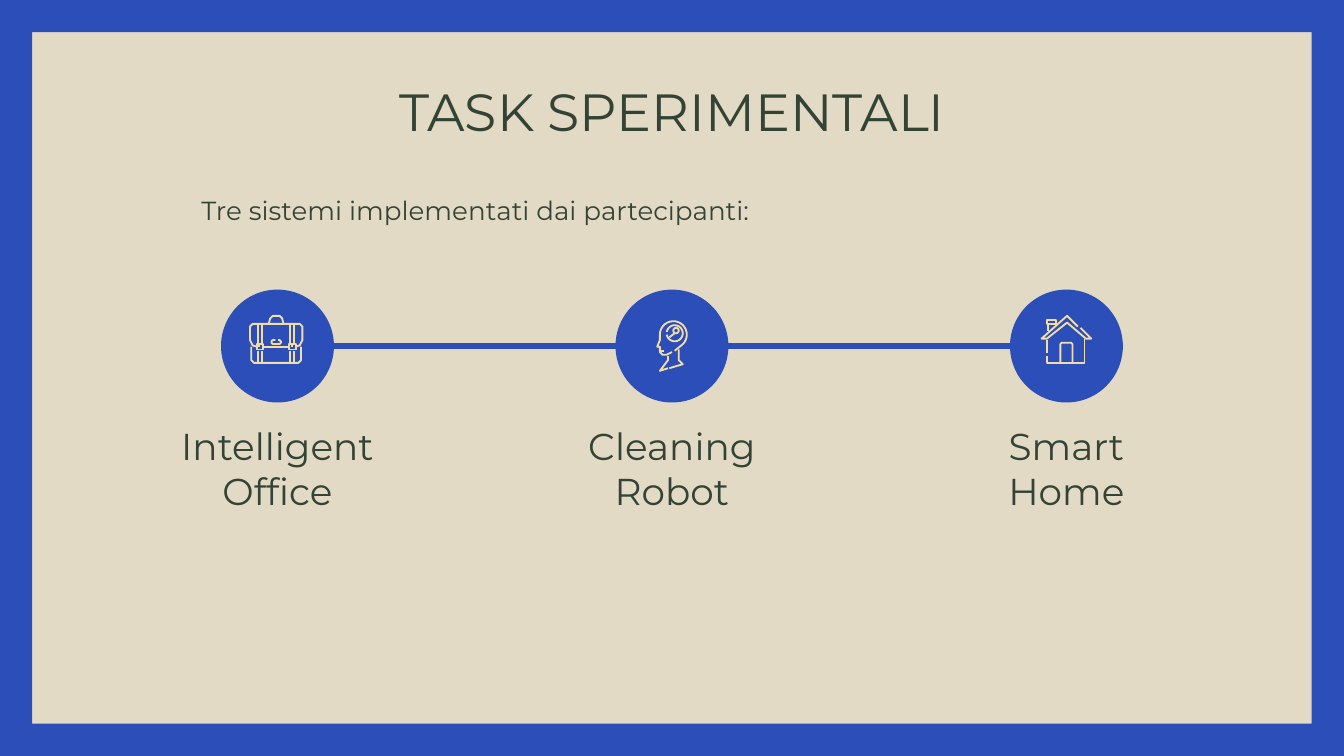
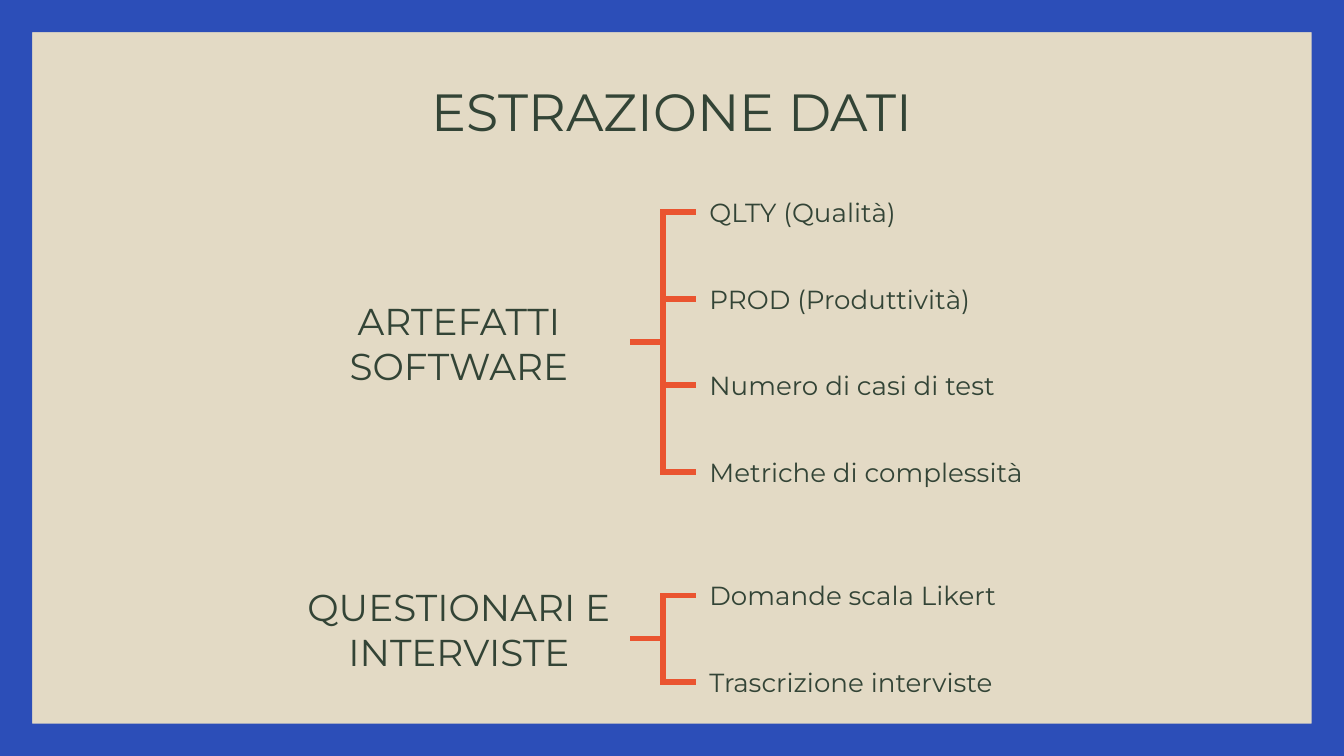
from dataclasses import dataclass
from math import cos, radians, sin
from typing import Any

from lxml import etree
from pptx import Presentation
from pptx import util as u
from pptx.dml.color import RGBColor
from pptx.enum import shapes, text
from pptx.oxml.ns import qn

PX = 4572
ICON_UNIT = 2 * PX
Point = tuple[float, float]
Stroke = list[Point]


@dataclass(frozen=True)
class Theme:
    font: str = "Montserrat"
    sand: RGBColor = RGBColor.from_string("E3DAC5")
    blue: RGBColor = RGBColor.from_string("2C4EB8")
    orange: RGBColor = RGBColor.from_string("EA5430")
    cream: RGBColor = RGBColor.from_string("F2DDA9")
    ink: RGBColor = RGBColor.from_string("334436")
    title: int = 28
    heading: int = 20
    body: int = 14
    rule: int = 3
    icon: int = 1


@dataclass(frozen=True)
class Box:
    x: int
    y: int
    w: int
    h: int

    def emu(self) -> tuple[int, ...]:
        return tuple(v * PX for v in (self.x, self.y, self.w, self.h))


@dataclass(frozen=True)
class Task:
    name: str
    strokes: list[Stroke]


@dataclass(frozen=True)
class Branch:
    label: str
    label_box: Box
    stem_y: int
    first_y: int
    last_y: int
    leaves: tuple[str, ...]


THEME = Theme()
PAGE = Box(0, 0, 2000, 1125)
BORDER = 48
TITLE = Box(157, 98, 1686, 126)
CENTER = text.PP_ALIGN.CENTER
LEFT = text.PP_ALIGN.LEFT
TOP = text.MSO_ANCHOR.TOP
MIDDLE = text.MSO_ANCHOR.MIDDLE


def apply(obj: Any, values: dict[str, Any]) -> None:
    for name, value in values.items():
        setattr(obj, name, value)


def add_text(s: Any, box: Box, content: str, size: int,
             align: Any = CENTER, anchor: Any = MIDDLE) -> None:
    tf = s.shapes.add_textbox(*box.emu()).text_frame
    margins = dict.fromkeys(
        ("margin_left", "margin_top", "margin_right", "margin_bottom"), 20 * PX)
    apply(tf, {"word_wrap": True, "vertical_anchor": anchor, **margins})
    p = tf.paragraphs[0]
    p.text = content
    p.alignment = align
    for r in p.runs:
        apply(r.font, {"name": THEME.font, "size": u.Pt(size)})
        r.font.color.rgb = THEME.ink


def add_shape(s: Any, kind: Any, box: Box, color: RGBColor) -> Any:
    sp = s.shapes.add_shape(kind, *box.emu())
    sp.shadow.inherit = False
    sp.fill.solid()
    sp.fill.fore_color.rgb = color
    sp.line.fill.background()
    return sp


def add_line(s: Any, kind: Any, start: Point, end: Point, color: RGBColor) -> None:
    cx = s.shapes.add_connector(kind, *(round(v * PX) for v in (*start, *end)))
    cx.line.color.rgb = color
    cx.line.width = u.Pt(THEME.rule)
    sp_pr = cx._element.spPr
    etree.SubElement(sp_pr.find(qn("a:ln")), qn("a:miter"), lim="800000")
    etree.SubElement(sp_pr, qn("a:effectLst"))


def add_icon(s: Any, strokes: list[Stroke]) -> None:
    scaled = [[(round(x * ICON_UNIT), round(y * ICON_UNIT)) for x, y in stroke]
              for stroke in strokes]
    fb = s.shapes.build_freeform(*scaled[0][0])
    fb.add_line_segments(scaled[0][1:], close=False)
    for stroke in scaled[1:]:
        fb.move_to(*stroke[0])
        fb.add_line_segments(stroke[1:], close=False)
    sp = fb.convert_to_shape()
    sp.shadow.inherit = False
    sp.fill.background()
    sp.line.color.rgb = THEME.cream
    sp.line.width = u.Pt(THEME.icon)


def arc(cx: int, cy: int, radius: int, start: int, end: int) -> Stroke:
    steps = 24
    angles = [radians(start + (end - start) * i / steps) for i in range(steps + 1)]
    return [(cx + radius * cos(a), cy + radius * sin(a)) for a in angles]


def rect(x: int, y: int, w: int, h: int) -> Stroke:
    return [(x, y), (x + w, y), (x + w, y + h), (x, y + h), (x, y)]


def briefcase() -> list[Stroke]:
    strokes: list[Stroke] = [
        [(191, 258), (188, 257), (186, 253), (186, 243), (188, 241), (223, 241),
         (225, 243), (225, 253), (223, 257), (220, 258)],
        [(187, 258), (187, 268), (189, 270), (222, 270), (224, 268), (224, 258)],
        [(200, 241), (201, 237), (203, 235), (208, 235), (210, 237), (211, 241)],
        [(205, 253), (203, 253), (202, 254), (202, 255), (203, 256), (208, 256),
         (209, 255), (209, 254), (208, 253), (207, 253)],
        [(196, 258), (215, 258)],
    ]
    for left in (191, 215):
        strokes.append(rect(left, 256, 5, 4))
        for x in (left + 1, left + 4):
            strokes += [[(x, 241), (x, 255)], [(x, 261), (x, 270)]]
        strokes.append([(left + 2, 256), (left + 2, 258)])
    return strokes


def head() -> list[Stroke]:
    return [
        [(500, 262), (496, 264), (493, 264), (491, 262), (491, 258), (489, 258),
         (491, 253), *arc(501, 249, 10, 180, 410), (502, 261)],
        [(491, 261), (494, 261)],
        [(497, 265), (497, 268), (491, 276), (497, 274)],
        [(498, 274), (508, 271), (505, 268), (505, 260)],
        arc(502, 248, 6, 190, 530),
        arc(503, 246, 2, 0, 360),
        [(502, 248), (498, 251)],
    ]


def house() -> list[Stroke]:
    return [
        [(802, 243), (794, 235), (775, 252), (779, 252), (794, 240), (808, 252),
         (812, 252), (804, 244)],
        rect(779, 238, 7, 3),
        [(780, 241), (780, 246)],
        [(785, 241), (785, 242)],
        [(779, 253), (779, 263)],
        [(779, 265), (779, 270), (807, 270), (807, 252)],
        [(789, 270), (789, 256), (790, 255), (797, 255), (798, 256), (798, 270)],
    ]


def spread(first: int, last: int, count: int) -> list[int]:
    return [round(first + (last - first) * i / (count - 1)) for i in range(count)]


def add_slide(prs: Any, title: str) -> Any:
    s = prs.slides.add_slide(prs.slide_layouts[6])
    s.background.fill.solid()
    s.background.fill.fore_color.rgb = THEME.sand
    sp = add_shape(s, shapes.MSO_SHAPE.FRAME, PAGE, THEME.blue)
    sp.adjustments[0] = BORDER / PAGE.h
    add_text(s, TITLE, title, THEME.title, anchor=TOP)
    return s


def build_tasks(prs: Any) -> None:
    s = add_slide(prs, "TASK SPERIMENTALI")
    add_text(s, Box(280, 242, 1272, 142), "Tre sistemi implementati dai partecipanti:",
             THEME.body, LEFT)
    tasks = (Task("Intelligent\nOffice", briefcase()),
             Task("Cleaning\nRobot", head()),
             Task("Smart\nHome", house()))
    axis_y, radius, label_w = 515, 84, 512
    centers = spread(413, 1587, len(tasks))
    for task, x in zip(tasks, centers):
        add_shape(s, shapes.MSO_SHAPE.OVAL,
                  Box(x - radius, axis_y - radius, 2 * radius, 2 * radius), THEME.blue)
        add_icon(s, task.strokes)
        add_text(s, Box(x - label_w // 2, 639, label_w, 116), task.name, THEME.heading)
    for a, b in zip(centers, centers[1:]):
        add_line(s, shapes.MSO_CONNECTOR.STRAIGHT,
                 (a + radius, axis_y), (b - radius, axis_y), THEME.blue)


def add_branch(s: Any, branch: Branch) -> None:
    stem_x, leaf_x, leaf_w, leaf_h = 938, 1036, 552, 70
    add_text(s, branch.label_box, branch.label, THEME.heading)
    rows = spread(branch.first_y, branch.last_y, len(branch.leaves))
    for leaf, y in zip(branch.leaves, rows):
        add_line(s, shapes.MSO_CONNECTOR.ELBOW,
                 (stem_x, branch.stem_y), (leaf_x, y), THEME.orange)
        add_text(s, Box(leaf_x, y - leaf_h // 2, leaf_w, leaf_h), leaf,
                 THEME.body, LEFT)


def build_data(prs: Any) -> None:
    s = add_slide(prs, "ESTRAZIONE DATI")
    add_branch(s, Branch(
        "ARTEFATTI SOFTWARE", Box(429, 466, 508, 88), 509, 316, 702,
        ("QLTY (Qualità)", "PROD (Produttività)", "Numero di casi di test",
         "Metriche di complessità")))
    add_branch(s, Branch(
        "QUESTIONARI E INTERVISTE", Box(429, 874, 508, 124), 950, 886, 1015,
        ("Domande scala Likert", "Trascrizione interviste")))


def main() -> None:
    prs = Presentation()
    apply(prs, {"slide_width": PAGE.w * PX, "slide_height": PAGE.h * PX})
    build_tasks(prs)
    build_data(prs)
    prs.save("out.pptx")


if __name__ == "__main__":
    main()
